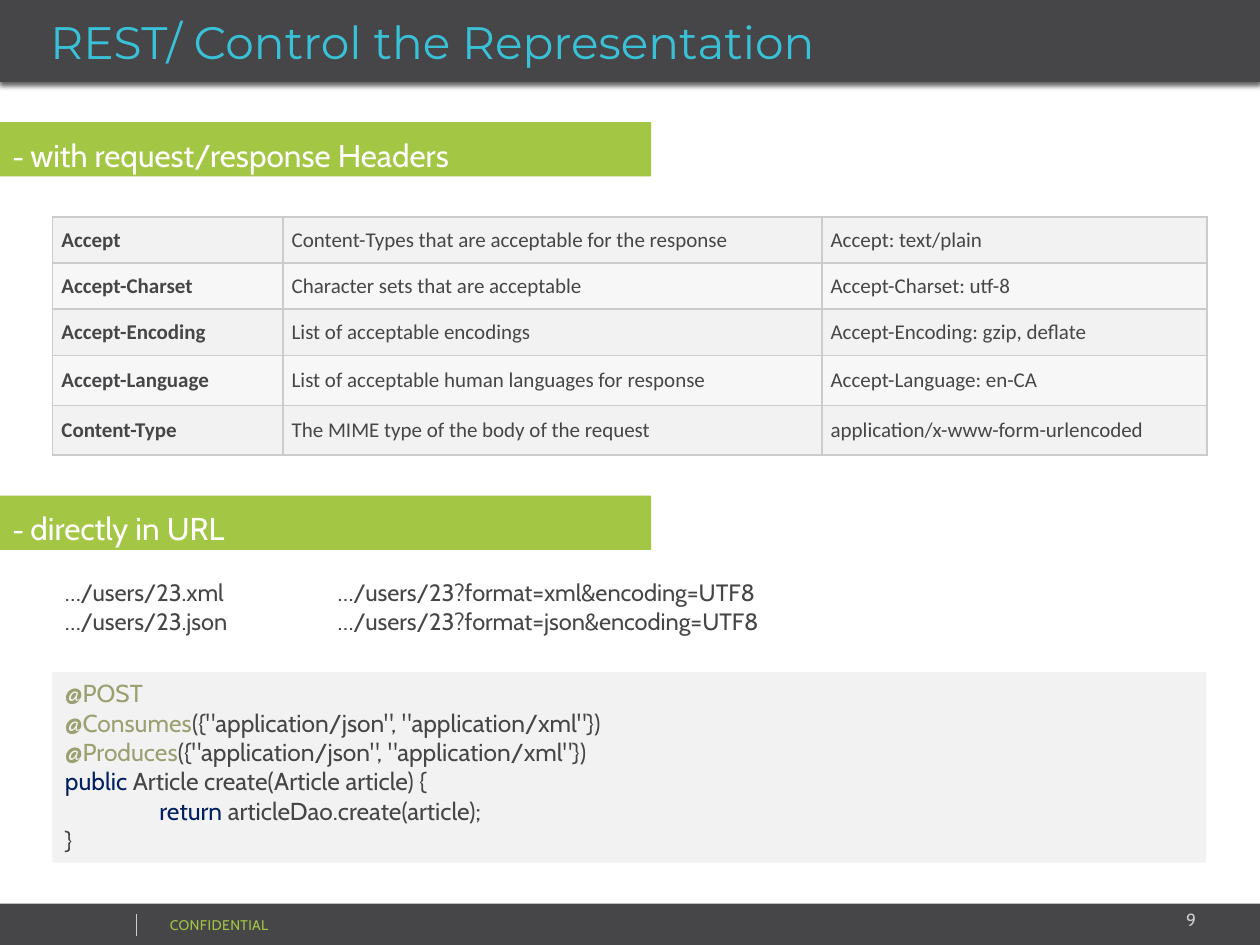
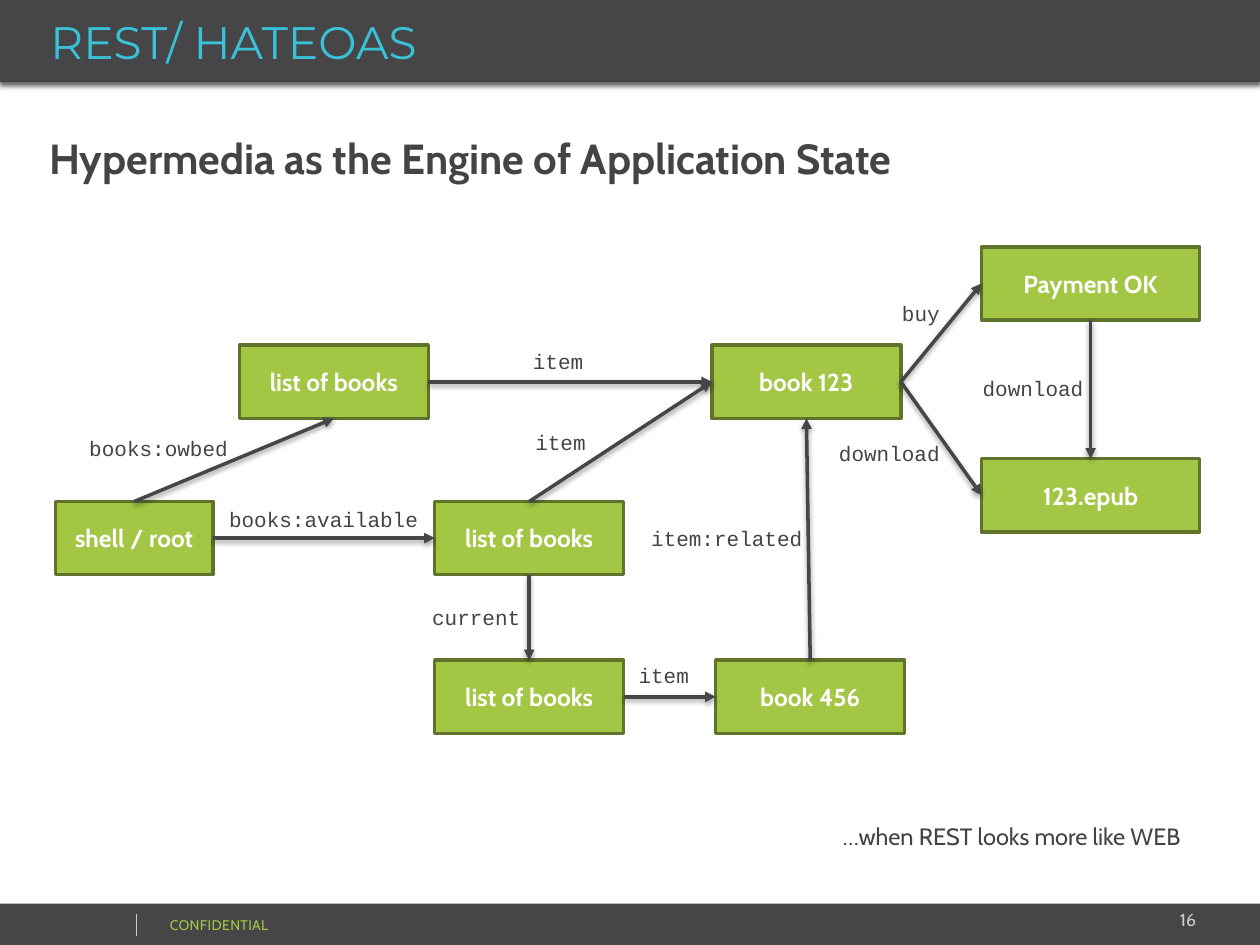
from dataclasses import dataclass

from lxml.etree import SubElement
from pptx import Presentation
from pptx.dml.color import RGBColor
from pptx.enum.shapes import MSO_CONNECTOR, MSO_SHAPE
from pptx.enum.text import MSO_ANCHOR, PP_ALIGN
from pptx.oxml.ns import qn
from pptx.util import Pt

HUES = {
    "dark": "464547", "ink": "444444", "cyan": "39C2D7", "green": "A3C644",
    "lime": "A3C745", "moss": "5F732B", "rule": "CCCCCC", "pale": "F2F2F2",
    "faint": "F7F7F7", "olive": "9C9F70", "navy": "002060", "white": "FFFFFF",
    "shade": "232324", "black": "000000",
}
TOP, LEFT, BOTTOM, RIGHT = range(4)


@dataclass(frozen=True)
class Node:
    key: str
    label: str
    x: float
    y: float
    w: float = 108
    h: float = 41.8


@dataclass(frozen=True)
class Link:
    start: str
    out: int
    end: str
    into: int


@dataclass(frozen=True)
class Label:
    words: str
    x: float
    y: float
    w: float


NODES = [
    Node("shell", "shell / root", 31.7, 286.6, 90),
    Node("open", "list of books", 248.4, 286.6),
    Node("paid", "Payment OK", 560.9, 141.1, 124.6),
    Node("epub", "123.epub", 560.9, 262.1, 124.6),
    Node("now", "list of books", 248.4, 377.3),
    Node("first", "book 123", 406.8, 197.3),
    Node("owned", "list of books", 136.8, 197.3),
    Node("next", "book 456", 409, 377.3),
]
LINKS = [
    Link("shell", TOP, "owned", BOTTOM),
    Link("shell", RIGHT, "open", LEFT),
    Link("open", BOTTOM, "now", TOP),
    Link("now", RIGHT, "next", LEFT),
    Link("next", TOP, "first", BOTTOM),
    Link("owned", RIGHT, "first", LEFT),
    Link("open", TOP, "first", LEFT),
    Link("first", RIGHT, "paid", LEFT),
    Link("first", RIGHT, "epub", LEFT),
    Link("paid", BOTTOM, "epub", TOP),
]
LABELS = [
    Label("books:owbed", 43.9, 242.6, 102.2),
    Label("books:available", 123.8, 283, 128.9),
    Label("item", 297.4, 193, 49),
    Label("item", 298.8, 239, 49),
    Label("item:related", 365, 293.8, 106.6),
    Label("item", 357.8, 372.2, 49),
    Label("current", 239.8, 339.1, 70.6),
    Label("buy", 508.3, 165.6, 49),
    Label("download", 472.3, 245.5, 77.8),
    Label("download", 554.4, 208.1, 75.6),
]
HEADERS = [
    ("Accept", "Content-Types that are acceptable for the response", "Accept: text/plain"),
    ("Accept-Charset", "Character sets that are acceptable", "Accept-Charset: utf-8"),
    ("Accept-Encoding", "List of acceptable encodings", "Accept-Encoding: gzip, deflate"),
    ("Accept-Language", "List of acceptable human languages for response", "Accept-Language: en-CA"),
    ("Content-Type", "The MIME type of the body of the request", "application/x-www-form-urlencoded"),
]
MIMES = '({"application/json", "application/xml"})'
CODE = [
    [("@POST", "olive")],
    [("@Consumes", "olive"), (MIMES, "dark")],
    [("@Produces", "olive"), (MIMES, "dark")],
    [("public ", "navy"), ("Article create(Article article) {", "dark")],
    [("return ", "navy"), ("articleDao.create(article);", "dark")],
    [("}", "dark")],
]


def tint(name: str) -> RGBColor:
    return RGBColor.from_string(HUES[name])


def write(frame, lines, size=14, font="Cabin", hue="dark", bold=False, align=PP_ALIGN.LEFT,
          anchor=MSO_ANCHOR.TOP, pads=(7.2, 3.6, 7.2, 3.6), space=None, track=0) -> None:
    frame.word_wrap = True
    frame.vertical_anchor = anchor
    (frame.margin_left, frame.margin_top,
     frame.margin_right, frame.margin_bottom) = map(Pt, pads)
    lines = [lines] if isinstance(lines, str) else lines
    for i, line in enumerate(lines):
        para = frame.paragraphs[0] if i == 0 else frame.add_paragraph()
        para.alignment = align
        if space:
            para.line_spacing = space
        for part in [(line,)] if isinstance(line, str) else line:
            words, shade, points = (*part, hue, size)[:3] if len(part) == 1 else (*part, size)[:3]
            run = para.add_run()
            run.text = words
            run.font.name = font
            run.font.size = Pt(points)
            run.font.bold = bold
            run.font.color.rgb = tint(shade)
            if track:
                run.font._element.set("spc", str(track))


def shadow(shape, hue: str, alpha: int, blur: float, drop: float) -> None:
    effects = SubElement(shape._element.spPr, qn("a:effectLst"))
    outer = SubElement(effects, qn("a:outerShdw"), blurRad=str(Pt(blur)), dist=str(Pt(drop)),
                       dir="5400000", algn="t", rotWithShape="0")
    color = SubElement(outer, qn("a:srgbClr"), val=HUES[hue])
    SubElement(color, qn("a:alpha"), val=str(alpha * 1000))


def block(slide, x: float, y: float, w: float, h: float, fill: str, edge: str = ""):
    shape = slide.shapes.add_shape(MSO_SHAPE.RECTANGLE, Pt(x), Pt(y), Pt(w), Pt(h))
    shape.shadow.inherit = False
    shape.fill.solid()
    shape.fill.fore_color.rgb = tint(fill)
    if edge:
        shape.line.color.rgb = tint(edge)
        shape.line.width = Pt(2)
    else:
        shape.line.fill.background()
    return shape


def note(slide, words, x: float, y: float, w: float, h: float, **style) -> None:
    box = slide.shapes.add_textbox(Pt(x), Pt(y), Pt(w), Pt(h))
    write(box.text_frame, words, **style)


def stroke(slide, hue: str, width: float, ends=(0, 0, 0, 0)):
    line = slide.shapes.add_connector(MSO_CONNECTOR.STRAIGHT, *map(Pt, ends))
    line.line.color.rgb = tint(hue)
    line.line.width = Pt(width)
    return line


def frame_slide(deck, title: str, number: int):
    slide = deck.slides.add_slide(deck.slide_layouts[5])
    head = slide.shapes.title
    head.left, head.top, head.width, head.height = map(Pt, (0, 0, 720, 46.8))
    head.fill.solid()
    head.fill.fore_color.rgb = tint("dark")
    head.line.fill.background()
    shadow(head, "shade", 70, 3, 2)
    write(head.text_frame, title, size=26, font="Montserrat", hue="cyan",
          anchor=MSO_ANCHOR.MIDDLE, pads=(28.8, 3.6, 7.2, 3.6))
    block(slide, 0, 516.4, 720, 23.6, "dark")
    note(slide, str(number), 573.1, 516.2, 117.4, 19.4, size=10, hue="rule", align=PP_ALIGN.RIGHT)
    note(slide, "CONFIDENTIAL", 90, 519.8, 182.2, 17.3, size=8, hue="lime",
         anchor=MSO_ANCHOR.MIDDLE, track=20)
    rule = stroke(slide, "rule", 0.25, (77.8, 522, 77.8, 535))
    SubElement(rule._element.spPr, qn("a:effectLst"))
    return slide


def band(slide, words: str, y: float) -> None:
    shape = block(slide, 0, y, 372.2, 31, "green")
    write(shape.text_frame, [[("- ", "white", 16), (words, "white", 18)]], space=1.2)


def border(cell, last: bool) -> None:
    props = cell._tc.get_or_add_tcPr()
    for i, side in enumerate("LRTB"):
        width = 1.5 if last and side == "B" else 1
        edge = SubElement(props, qn(f"a:ln{side}"), w=str(Pt(width)))
        fill = SubElement(edge, qn("a:solidFill"))
        SubElement(fill, qn("a:srgbClr"), val=HUES["rule"])
        props.insert(i, edge)


def grid(slide) -> None:
    widths, heights = (131.6, 308, 220), (26.4, 26.4, 26.6, 28.6, 28)
    table = slide.shapes.add_table(len(HEADERS), len(widths), Pt(30.1), Pt(123.9),
                                   Pt(sum(widths)), Pt(sum(heights))).table
    table.first_row = table.horz_banding = False
    for column, width in zip(table.columns, widths):
        column.width = Pt(width)
    for r, (row, height) in enumerate(zip(HEADERS, heights)):
        table.rows[r].height = Pt(height)
        for c, words in enumerate(row):
            cell = table.cell(r, c)
            cell.fill.solid()
            cell.fill.fore_color.rgb = tint("faint" if r % 2 else "pale")
            write(cell.text_frame, words, size=12, font="Calibri", bold=c == 0)
            cell.vertical_anchor = MSO_ANCHOR.MIDDLE
            cell.margin_left = cell.margin_right = Pt(5)
            cell.margin_top = cell.margin_bottom = Pt(5)
            border(cell, r == len(HEADERS) - 1)


def control(deck) -> None:
    slide = frame_slide(deck, "REST/ Control the Representation", 9)
    band(slide, "with request/response Headers", 69.8)
    grid(slide)
    band(slide, "directly in URL", 283.2)
    code = block(slide, 30, 384, 659.3, 109, "pale")
    write(code.text_frame, CODE)
    code.text_frame.paragraphs[4]._p.get_or_add_pPr().set("marL", str(Pt(54)))
    kinds = ("xml", "json")
    note(slide, [f"…/users/23?format={kind}&encoding=UTF8" for kind in kinds],
         185.8, 326.9, 275.8, 40.3, size=13.5)
    note(slide, [f"…/users/23.{kind}" for kind in kinds], 30, 326.9, 150, 40.3, size=13.5)


def join(slide, link: Link, shapes: dict) -> None:
    arrow = stroke(slide, "dark", 2)
    arrow.begin_connect(shapes[link.start], link.out)
    arrow.end_connect(shapes[link.end], link.into)
    SubElement(arrow.line._get_or_add_ln(), qn("a:tailEnd"), type="triangle")
    shadow(arrow, "black", 38, 3.1, 1.6)


def state(deck) -> None:
    slide = frame_slide(deck, "REST/ HATEOAS", 16)
    note(slide, "Hypermedia as the Engine of Application State", 21, 66.2, 540, 42.5,
         size=24, hue="ink", bold=True, space=1.2)
    note(slide, "…when REST looks more like WEB", 474.5, 463, 221.8, 26.6,
         size=13.5, hue="ink", space=1.2)
    shapes = {}
    for node in NODES:
        shape = block(slide, node.x, node.y, node.w, node.h, "green", "moss")
        write(shape.text_frame, node.label, hue="white", bold=True,
              align=PP_ALIGN.CENTER, anchor=MSO_ANCHOR.MIDDLE)
        shapes[node.key] = shape
    for link in LINKS:
        join(slide, link, shapes)
    for label in LABELS:
        note(slide, label.words, label.x, label.y, label.w, 24.5,
             size=12, font="Courier New", hue="ink", space=1.2)


def main() -> None:
    deck = Presentation()
    deck.slide_width, deck.slide_height = Pt(720), Pt(540)
    control(deck)
    state(deck)
    deck.save("out.pptx")


if __name__ == "__main__":
    main()
